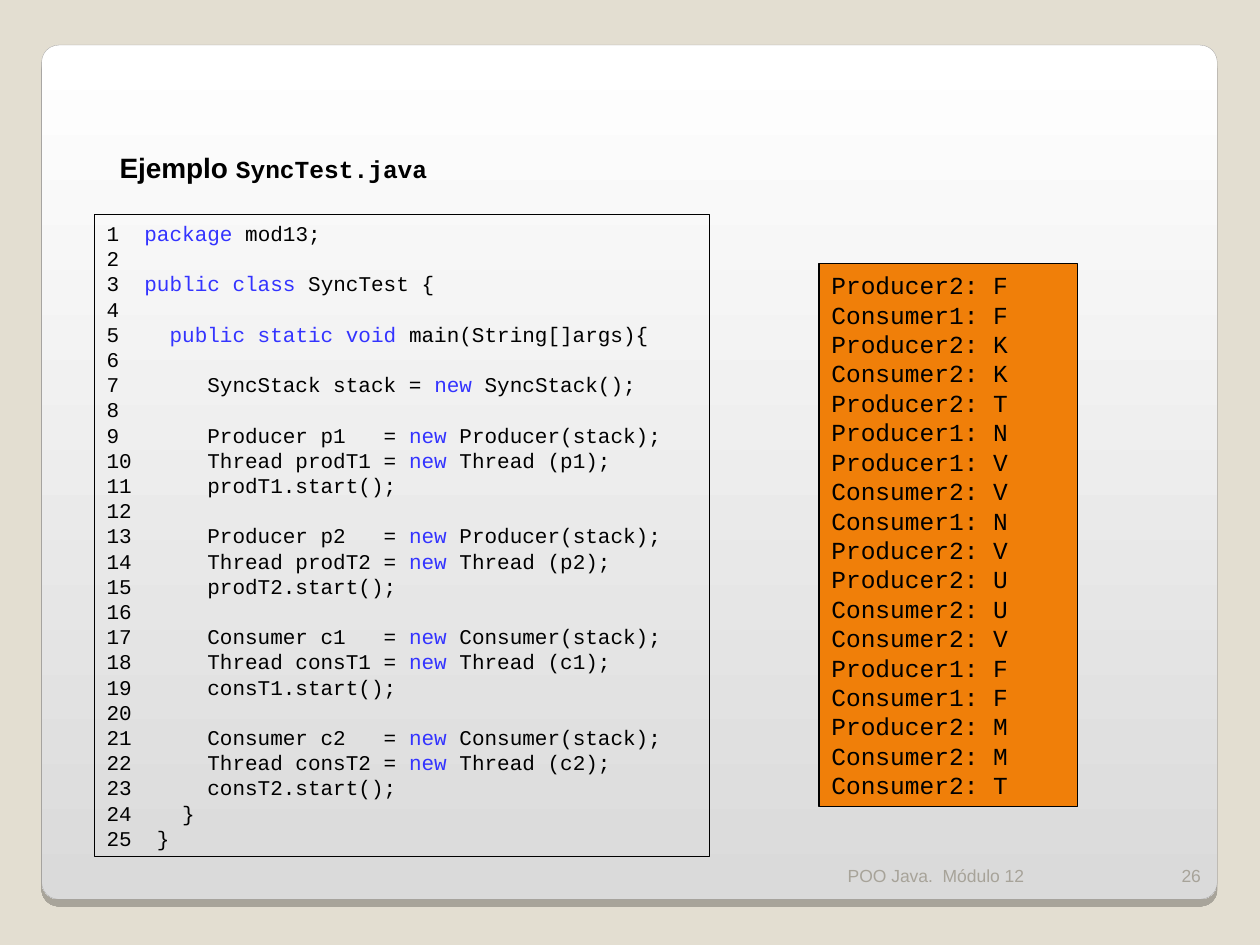
from lxml.etree import SubElement
from pptx import Presentation
from pptx.dml.color import RGBColor
from pptx.enum.shapes import MSO_SHAPE
from pptx.enum.text import MSO_ANCHOR, MSO_AUTO_SIZE, PP_ALIGN
from pptx.oxml.ns import qn
from pptx.util import Cm, Pt

HUES = {
    "page": "E3DED1",
    "top": "FFFFFF",
    "base": "DADADA",
    "edge": "A4A3A3",
    "ink": "000000",
    "key": "3333FF",
    "box": "F07F09",
    "foot": "A7A399",
}


def hue(name):
    return RGBColor.from_string(HUES[name])


def write(text, box, size=14, font="Courier New", color="ink", bold=False,
          align=PP_ALIGN.LEFT, anchor=MSO_ANCHOR.MIDDLE, grow=True,
          indent=0, space=0, accent=None):
    left, top, width, height, fill, line = box
    shape = slide.shapes.add_shape(
        MSO_SHAPE.RECTANGLE, Cm(left), Cm(top), Cm(width), Cm(height))
    shape.shadow.inherit = False
    if fill:
        shape.fill.solid()
        shape.fill.fore_color.rgb = hue(fill)
    else:
        shape.fill.background()
    if line:
        shape.line.color.rgb = hue(line)
        shape.line.width = Pt(0.75)
    else:
        shape.line.fill.background()
    frame = shape.text_frame
    frame.word_wrap = True
    frame.vertical_anchor = anchor
    frame.auto_size = MSO_AUTO_SIZE.SHAPE_TO_FIT_TEXT if grow else MSO_AUTO_SIZE.NONE
    for row, words in enumerate(text.split("\n")):
        para = frame.paragraphs[0] if row == 0 else frame.add_paragraph()
        para.alignment = align
        para.space_before = para.space_after = Pt(space)
        if indent:
            para._p.get_or_add_pPr().set("marL", str(Cm(indent)))
        for turn, part in enumerate(words.split("|")):
            if not part:
                continue
            style = {"size": size, "font": font, "color": color}
            if turn % 2:
                style.update(accent)
            run = para.add_run()
            run.text = part
            run.font.size = Pt(style["size"])
            run.font.name = style["font"]
            run.font.bold = bold
            run.font.color.rgb = hue(style["color"])


deck = Presentation()
deck.slide_width = Cm(25.4)
deck.slide_height = Cm(19.05)
slide = deck.slides.add_slide(deck.slide_layouts[6])
slide.background.fill.solid()
slide.background.fill.fore_color.rgb = hue("page")

panel = slide.shapes.add_shape(
    MSO_SHAPE.ROUNDED_RECTANGLE, Cm(0.84), Cm(0.91), Cm(23.7), Cm(17.22))
panel.adjustments[0] = 0.02
panel.fill.gradient()
panel.fill.gradient_angle = 270
for stop, name in zip(panel.fill.gradient_stops, ("top", "base")):
    stop.color.rgb = hue(name)
panel.line.color.rgb = hue("edge")
panel.line.width = Pt(0.17)
panel.shadow.inherit = False
glow = panel._element.spPr.find(qn("a:effectLst"))
shade = SubElement(glow, qn("a:outerShdw"), blurRad="0", dist=str(Pt(4)),
                   dir="5400000", algn="t", rotWithShape="0")
tint = SubElement(shade, qn("a:srgbClr"), val=HUES["ink"])
SubElement(tint, qn("a:alpha"), val="25000")

foot = {"size": 10, "font": "Arial", "color": "foot",
        "anchor": MSO_ANCHOR.BOTTOM, "grow": False}
write("POO Java.  Módulo 12", (16.84, 16.97, 6.35, 1.02, None, None), **foot)
write("26", (23.19, 16.97, 1.27, 1.02, None, None), align=PP_ALIGN.RIGHT, **foot)

prints = """Producer2: F
Consumer1: F
Producer2: K
Consumer2: K
Producer2: T
Producer1: N
Producer1: V
Consumer2: V
Consumer1: N
Producer2: V
Producer2: U
Consumer2: U
Consumer2: V
Producer1: F
Consumer1: F
Producer2: M
Consumer2: M
Consumer2: T"""
write(prints, (16.51, 5.31, 5.21, 10.95, "box", "ink"))

write("Ejemplo |SyncTest.java", (1.09, 2.92, 12.19, 0.94, None, None),
      size=16, font="Arial", bold=True, anchor=MSO_ANCHOR.TOP, indent=1.07,
      space=5, accent={"size": 14, "font": "Courier New"})

code = [
    "|package| mod13;",
    "",
    "|public class| SyncTest {",
    "",
    "  |public static void| main(String[]args){",
    "",
    "     SyncStack stack = |new| SyncStack();",
]
for role, short in (("Producer", "prod"), ("Consumer", "cons")):
    for num in (1, 2):
        item = f"{role[0].lower()}{num}"
        code += [
            "",
            f"     {role} {item}   = |new| {role}(stack);",
            f"     Thread {short}T{num} = |new| Thread ({item});",
            f"     {short}T{num}.start();",
        ]
code += ["   }", " }"]
listing = "\n".join(f"{num:<3}{line}".rstrip() for num, line in enumerate(code, 1))
write(listing, (1.9, 4.32, 12.4, 12.95, None, "ink"), size=12,
      accent={"color": "key"})

deck.save("out.pptx")
